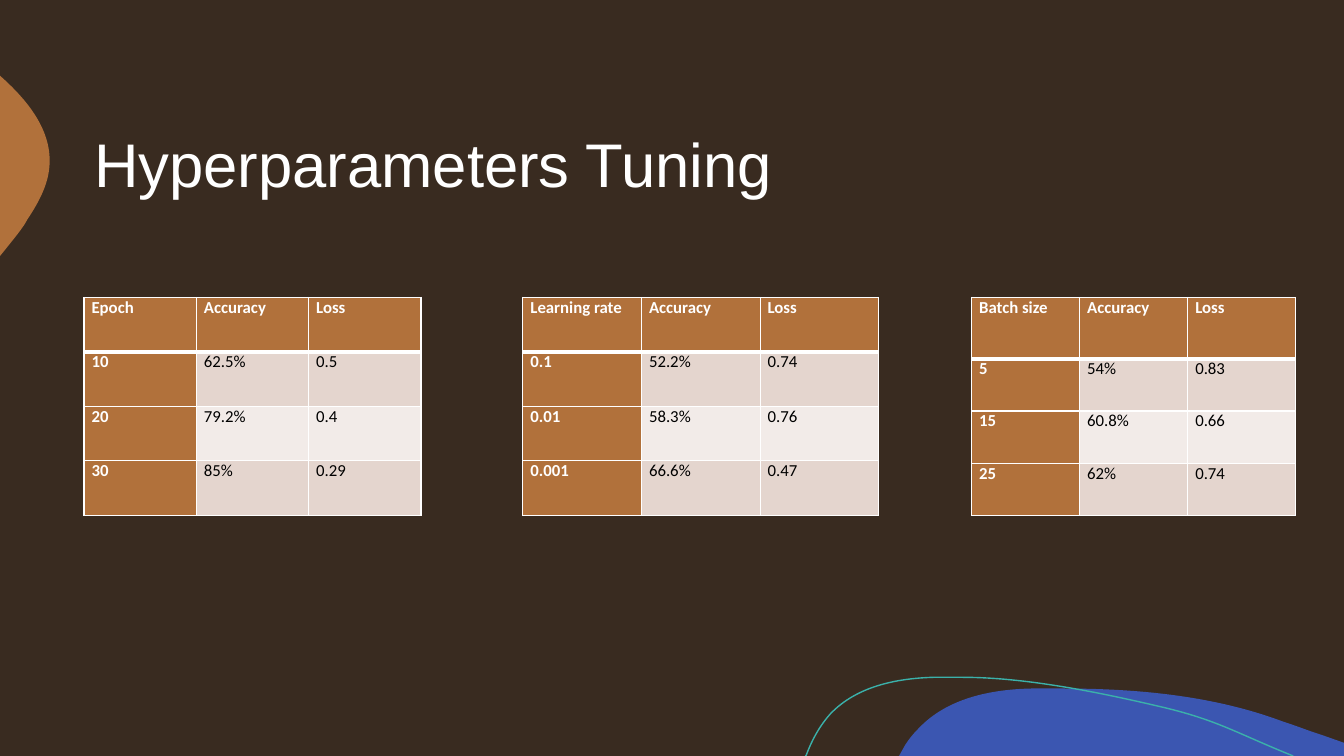
from dataclasses import dataclass
from lxml.etree import SubElement
from pptx import Presentation
from pptx.dml.color import RGBColor
from pptx.enum.text import MSO_ANCHOR, PP_ALIGN
from pptx.oxml.ns import qn
from pptx.util import Pt

TITLE = "Hyperparameters Tuning"
TABLES = [
    {"left": 60, "col": 80.25, "head": 38.9, "row": 38.9, "rows": [
        ("Epoch", "Accuracy", "Loss"),
        ("10", "62.5%", "0.5"),
        ("20", "79.2%", "0.4"),
        ("30", "85%", "0.29")]},
    {"left": 373.5, "col": 84.75, "head": 38.9, "row": 38.9, "rows": [
        ("Learning rate", "Accuracy", "Loss"),
        ("0.1", "52.2%", "0.74"),
        ("0.01", "58.3%", "0.76"),
        ("0.001", "66.6%", "0.47")]},
    {"left": 694, "col": 77.2, "head": 43.9, "row": 37.3, "rows": [
        ("Batch size", "Accuracy", "Loss"),
        ("5", "54%", "0.83"),
        ("15", "60.8%", "0.66"),
        ("25", "62%", "0.74")]},
]
TABLE_TOP = 212.4
BLUE_HILL = [
    (758.9, 491.8),
    (812.2, 491.8, 866.9, 496.8, 916.6, 515.5),
    (925.9, 518.4, 934.6, 522, 943.9, 524.9),
    (960, 530.6), (960, 540), (642.2, 540), (646.6, 532.1),
    (649.4, 527.8, 652.3, 524.2, 655.9, 520.6),
    (676.1, 499, 707, 492.5, 736.6, 491.8),
    (743.8, 491.8, 751, 491.8, 758.9, 491.8),
]
BROWN_BUMP = [
    (0, 54), (0.7, 54.7),
    (21.6, 73.4, 38.9, 95.8, 34.9, 122.4),
    (33.1, 134.6, 26.6, 146.2, 19.4, 157),
    (17.3, 161.3, 12.2, 167.8, 5.8, 175.7),
    (0, 182.9),
]
TEAL_CURVE = [
    (575.3, 540), (576, 539.3),
    (580.3, 527.8, 586.1, 517.7, 593.3, 509.8),
    (612, 490.3, 640.1, 484.6, 666.7, 483.8),
    (687.6, 483.8),
    (735.8, 483.8, 792, 496.1, 831.6, 505.4),
    (870.5, 514.8, 882.7, 523.4, 923.8, 540),
]


@dataclass(frozen=True)
class Theme:
    bg: str = "392B20"
    blue: str = "3B56B1"
    brown: str = "B1713B"
    teal: str = "3BB1AA"
    white: str = "FFFFFF"
    black: str = "000000"
    bands: tuple = ("F2EBE8", "E4D5CE")
    title_font: str = "Arial"
    table_font: str = "Calibri"
    title_size: int = 44
    table_size: int = 12


T = Theme()


def rgb(value):
    return RGBColor.from_string(value)


def bend_segments(sp, segments):
    lines = list(sp._element.iter(qn("a:lnTo")))
    for line, seg in zip(lines, segments):
        if len(seg) == 2:
            continue
        line.tag = qn("a:cubicBezTo")
        for pt in list(line):
            line.remove(pt)
        for x, y in zip(seg[::2], seg[1::2]):
            SubElement(line, qn("a:pt"), x=str(Pt(x) - sp.left), y=str(Pt(y) - sp.top))


def add_outline(s, segments, fill=None, line=None):
    points = [(Pt(seg[-2]), Pt(seg[-1])) for seg in segments]
    fb = s.shapes.build_freeform(*points[0])
    fb.add_line_segments(points[1:], close=fill is not None)
    sp = fb.convert_to_shape()
    bend_segments(sp, segments[1:])
    sp.shadow.inherit = False
    if fill:
        sp.fill.solid()
        sp.fill.fore_color.rgb = rgb(fill)
        sp.line.fill.background()
    else:
        sp.fill.background()
        sp.line.color.rgb = rgb(line)
        sp.line.width = Pt(1)


def style_run(r, font, size, color, bold=False):
    r.font.name = font
    r.font.size = Pt(size)
    r.font.color.rgb = rgb(color)
    r.font.bold = bold


def set_borders(cell, top, bottom):
    tcPr = cell._tc.get_or_add_tcPr()
    for side, width in (("L", 1), ("R", 1), ("T", top), ("B", bottom)):
        ln = SubElement(tcPr, qn(f"a:ln{side}"), w=str(Pt(width)))
        fill = SubElement(ln, qn("a:solidFill"))
        SubElement(fill, qn("a:srgbClr"), val=T.white)


def add_results(s, left, col, head, row, rows):
    n_rows, n_cols = len(rows), len(rows[0])
    height = head + row * (n_rows - 1)
    table = s.shapes.add_table(n_rows, n_cols, Pt(left), Pt(TABLE_TOP),
                               Pt(col * n_cols), Pt(height)).table
    table.first_col = True
    for column in table.columns:
        column.width = Pt(col)
    for i, values in enumerate(rows):
        table.rows[i].height = Pt(row if i else head)
        for j, value in enumerate(values):
            cell = table.cell(i, j)
            header = i == 0 or j == 0
            cell.margin_left = cell.margin_right = Pt(5.4)
            cell.margin_top = cell.margin_bottom = 0
            set_borders(cell, top=3 if i == 1 else 1, bottom=3 if i == 0 else 1)
            cell.fill.solid()
            cell.fill.fore_color.rgb = rgb(T.brown if header else T.bands[i % 2])
            p = cell.text_frame.paragraphs[0]
            p.text = value
            p.alignment = PP_ALIGN.JUSTIFY
            style_run(p.runs[0], T.table_font, T.table_size,
                      T.white if header else T.black, header)


def main():
    prs = Presentation()
    prs.slide_width, prs.slide_height = Pt(960), Pt(540)
    s = prs.slides.add_slide(prs.slide_layouts[5])
    s.background.fill.solid()
    s.background.fill.fore_color.rgb = rgb(T.bg)

    add_outline(s, BLUE_HILL, fill=T.blue)
    add_outline(s, BROWN_BUMP, fill=T.brown)
    add_outline(s, TEAL_CURVE, line=T.teal)

    title = s.shapes.title
    title.left, title.top, title.width, title.height = Pt(60), Pt(60), Pt(840), Pt(120)
    tf = title.text_frame
    tf.text = TITLE
    tf.vertical_anchor = MSO_ANCHOR.MIDDLE
    p = tf.paragraphs[0]
    p.alignment = PP_ALIGN.LEFT
    p.line_spacing = 0.9
    style_run(p.runs[0], T.title_font, T.title_size, T.white)

    for results in TABLES:
        add_results(s, **results)
    prs.save("out.pptx")


if __name__ == "__main__":
    main()
